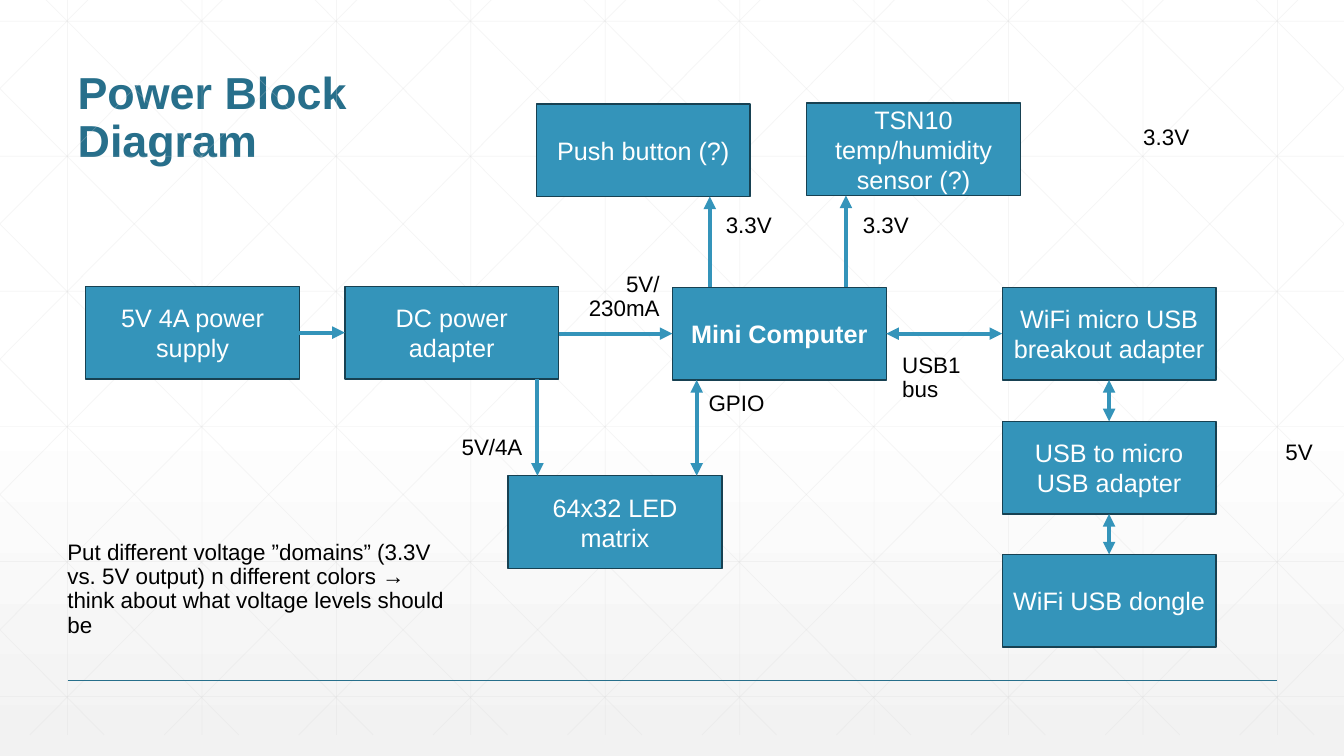
from lxml.etree import SubElement
from pptx import Presentation
from pptx.dml.color import RGBColor
from pptx.enum.shapes import MSO_CONNECTOR as Connector, MSO_SHAPE as Shape
from pptx.enum.text import MSO_ANCHOR as Anchor, MSO_AUTO_SIZE as AutoSize, PP_ALIGN as Align
from pptx.oxml.ns import qn
from pptx.util import Inches, Pt

WHITE = RGBColor(0xFF, 0xFF, 0xFF)
BLACK = RGBColor(0, 0, 0)
PALE = RGBColor(0xF2, 0xF2, 0xF2)
GRID = RGBColor(0xD9, 0xD9, 0xD9)
BLUE = RGBColor(0x34, 0x94, 0xBA)
OUTLINE = RGBColor(0x17, 0x41, 0x52)
ACCENT = RGBColor(0x27, 0x6F, 0x8B)

WIDTH, HEIGHT = 13.33, 7.5
BOX_WIDTH, BOX_HEIGHT = 2.12, 0.92
TITLE = "Power Block Diagram"
BOARD, MATRIX = "Mini Computer", "64x32 LED matrix"
SUPPLY, POWER = "5V 4A power supply", "DC power adapter"
DONGLE, CABLE = "WiFi USB dongle", "USB to micro USB adapter"
BREAKOUT, SENSOR = "WiFi micro USB breakout adapter", "TSN10 temp/humidity sensor (?)"
BUTTON = "Push button (?)"
BOXES = {
    BOARD: (6.67, 2.85),
    MATRIX: (5.04, 4.72),
    SUPPLY: (0.85, 2.84),
    POWER: (3.42, 2.84),
    DONGLE: (9.94, 5.5),
    CABLE: (9.94, 4.18),
    BREAKOUT: (9.94, 2.85),
    SENSOR: (8, 1.02),
    BUTTON: (5.32, 1.03),
}
START, END, BOTH = ("headEnd",), ("tailEnd",), ("headEnd", "tailEnd")
ACROSS = [
    (SUPPLY, POWER, 3.3, END),
    (POWER, BOARD, 3.31, END),
    (BOARD, BREAKOUT, 3.31, BOTH),
]
DOWN = [
    (POWER, MATRIX, 5.33, END),
    (BOARD, MATRIX, 6.91, BOTH),
    (BUTTON, BOARD, 7.04, START),
    (SENSOR, BOARD, 8.39, START),
    (BREAKOUT, CABLE, 11, BOTH),
    (CABLE, DONGLE, 11, BOTH),
]
LABELS = [
    ("USB1 bus", 8.85, 3.46, 1.14, 0.79, Align.LEFT),
    ("5V/230mA", 5.66, 2.66, 0.98, 0.79, Align.RIGHT),
    ("GPIO", 6.93, 3.84, 1.3, 0.79, Align.LEFT),
    ("5V/4A", 3.73, 4.28, 1.55, 0.87, Align.RIGHT),
    ("3.3V", 7.1, 2.08, 2.58, 0.5, Align.LEFT),
    ("3.3V", 8.46, 2.08, 2.58, 0.5, Align.LEFT),
    ("3.3V", 11.24, 1.2, 2.58, 0.5, Align.LEFT),
    ("5V", 12.65, 4.33, 2.58, 0.5, Align.LEFT),
    ("Put different voltage ”domains” (3.3V vs. 5V output) n different colors → "
     "think about what voltage levels should be", 0.57, 5.32, 4.07, 1.35, Align.LEFT),
]


def add_line(slide, start, end, color, width, ends=(), alpha=None):
    points = [Inches(value) for value in (*start, *end)]
    connector = slide.shapes.add_connector(Connector.STRAIGHT, *points)
    connector.line.color.rgb = color
    connector.line.width = Pt(width)
    properties = connector._element.spPr
    outline = properties.find(qn("a:ln"))
    if alpha:
        color_node = outline.find(".//" + qn("a:srgbClr"))
        SubElement(color_node, qn("a:alpha"), val=str(alpha * 1000))
    for name in ends:
        SubElement(outline, qn("a:" + name), type="triangle")
    SubElement(properties, qn("a:effectLst"))


def write(shape, text, size, color, align, bold=False, spacing=None, before=None):
    frame = shape.text_frame
    frame.word_wrap = True
    frame.text = text
    paragraph = frame.paragraphs[0]
    paragraph.alignment = align
    if spacing:
        paragraph.line_spacing = spacing
    if before:
        paragraph.space_before = Pt(before)
    font = paragraph.runs[0].font
    font.name, font.size, font.bold = "Arial", Pt(size), bold
    font.color.rgb = color


def add_grid(slide):
    top, bottom, step, run = -0.21, 7.29, 4 / 3, 7.45
    slope = (bottom - top) / run
    lines = [((0.67 + step * i, top), (0.67 + step * i, bottom)) for i in range(10)]
    lines += [((0, 0.21 + 1.34 * i), (WIDTH, 0.21 + 1.34 * i)) for i in range(6)]
    for i in range(-5, 10):
        origin = 0.25 + step * i
        left, right = max(origin, 0), min(origin + run, WIDTH)
        upper, lower = (top + (x - origin) * slope for x in (left, right))
        lines.append(((left, upper), (right, lower)))
        lines.append(((WIDTH - left, upper), (WIDTH - right, lower)))
    for start, end in lines:
        add_line(slide, start, end, GRID, 0.5, alpha=25)


def add_box(slide, text, left, top):
    box = slide.shapes.add_shape(Shape.RECTANGLE, Inches(left), Inches(top),
                                 Inches(BOX_WIDTH), Inches(BOX_HEIGHT))
    box.shadow.inherit = False
    box.fill.solid()
    box.fill.fore_color.rgb = BLUE
    box.line.color.rgb = OUTLINE
    box.line.width = Pt(1)
    box.text_frame.vertical_anchor = Anchor.MIDDLE
    write(box, text, 18, WHITE, Align.CENTER, bold=text == BOARD)


def main():
    """Build the power block diagram slide."""
    presentation = Presentation()
    presentation.slide_width, presentation.slide_height = Inches(WIDTH), Inches(HEIGHT)
    slide = presentation.slides.add_slide(presentation.slide_layouts[5])

    fill = slide.background.fill
    fill.gradient()
    fill.gradient_angle = 270
    for stop, color, position in zip(fill.gradient_stops, (WHITE, PALE), (0.53, 1)):
        stop.color.rgb, stop.position = color, position

    add_grid(slide)
    add_line(slide, (0.67, 6.75), (12.67, 6.75), ACCENT, 1)

    title = slide.shapes.title
    title.left, title.top = Inches(0.67), Inches(0.25)
    title.width, title.height = Inches(3.88), Inches(1.46)
    title.text_frame.auto_size = AutoSize.NONE
    title.text_frame.vertical_anchor = Anchor.BOTTOM
    write(title, TITLE, 32, ACCENT, Align.LEFT, bold=True, spacing=0.9)

    for text, (left, top) in BOXES.items():
        add_box(slide, text, left, top)
    for first, second, y, ends in ACROSS:
        add_line(slide, (BOXES[first][0] + BOX_WIDTH, y), (BOXES[second][0], y), BLUE, 3, ends)
    for first, second, x, ends in DOWN:
        add_line(slide, (x, BOXES[first][1] + BOX_HEIGHT), (x, BOXES[second][1]), BLUE, 3, ends)
    for text, left, top, width, height, align in LABELS:
        label = slide.shapes.add_textbox(Inches(left), Inches(top), Inches(width), Inches(height))
        write(label, text, 16, BLACK, align, spacing=0.9, before=18)

    presentation.save("out.pptx")


main()
